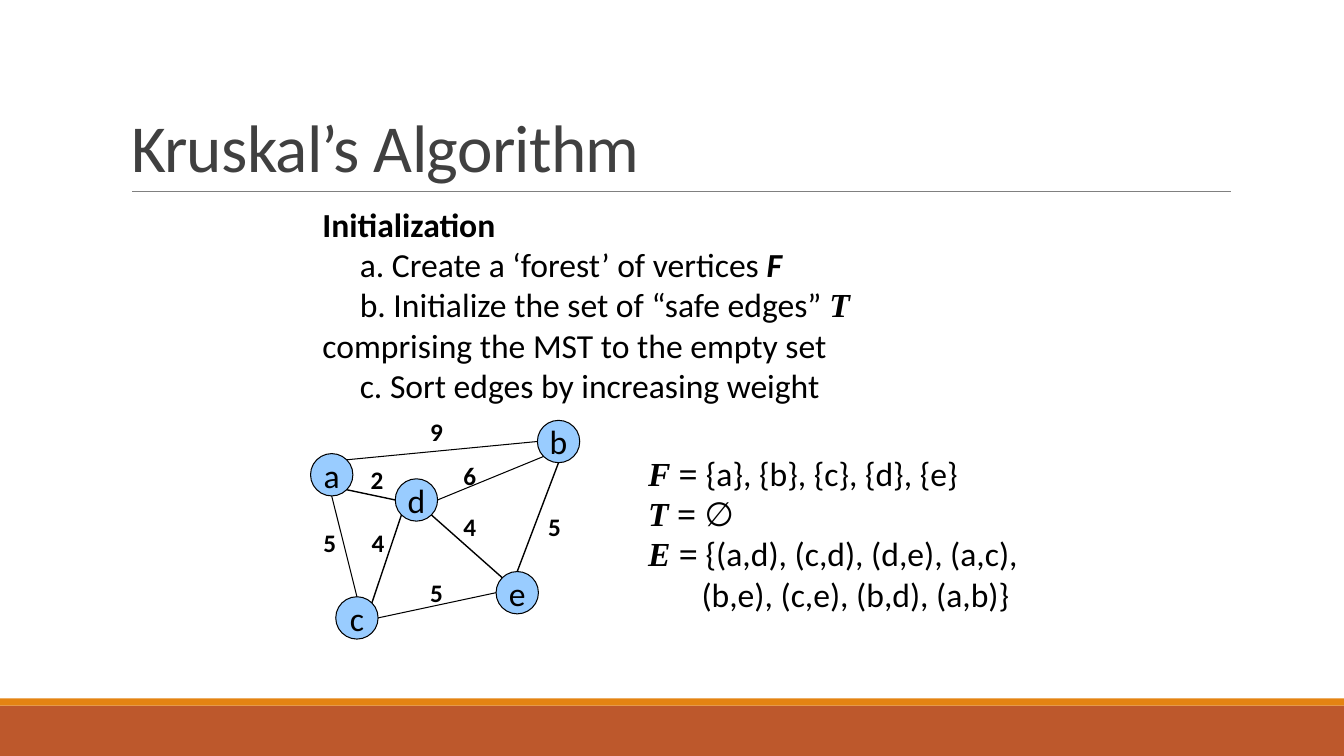
from math import cos, radians, sin

from lxml.etree import SubElement
from pptx import Presentation
from pptx.dml.color import RGBColor
from pptx.enum.shapes import MSO_CONNECTOR, MSO_SHAPE
from pptx.enum.text import MSO_ANCHOR, PP_ALIGN
from pptx.oxml.ns import qn
from pptx.util import Inches, Pt

COLORS = {"black": "000000", "title": "404040", "rule": "808080", "node": "99CCFF",
          "band": "BD582C", "stripe": "E48312"}
SANS, SERIF = "Calibri", "Times New Roman"
DIAMETER = 0.42

# Node centres, relative to the graph's corner
NODES = {"a": (0.21, 0.63), "c": (0.46, 2.05), "e": (2.05, 1.8),
         "d": (1.05, 0.88), "b": (2.46, 0.3)}
# Each edge: node and clockwise angle from its right side, twice; line width
EDGES = [("a", -45, "b", 180, 0.75), ("d", 0, "b", 135, 0.75), ("a", 90, "c", -90, 0.75),
         ("a", 45, "d", 180, 1), ("c", -45, "d", 135, 1), ("d", 45, "e", -135, 1),
         ("b", 90, "e", -90, 1), ("e", 180, "c", 0, 0.75)]
# Weight and its label's corner, relative to the graph's corner
WEIGHTS = [("2", 0.49, 0.48), ("4", 0.5, 1.1), ("5", 0.02, 1.1), ("9", 1.08, 0),
           ("6", 1.41, 0.44), ("4", 1.41, 0.94), ("5", 1.08, 1.6), ("5", 2.25, 0.94)]

# Runs are (text, font name, bold, italic)
STEPS = [
    [("Initialization", SANS, True, False)],
    [("a. Create a ‘forest’ of vertices ", SANS, False, False), ("F", SANS, True, True)],
    [("b. Initialize the set of “safe edges” ", SANS, False, False),
     ("T", SERIF, True, True),
     ("\vcomprising the MST to the empty set", SANS, False, False)],
    [("c. Sort edges by increasing weight", SANS, False, False)],
]
SETS = [
    [("F = ", SERIF, True, True), ("{a}, {b}, {c}, {d}, {e}", SANS, False, False)],
    [("T ", SERIF, True, True), ("= ", SERIF, True, False), ("∅", SANS, False, False)],
    [("E ", SERIF, True, True), ("=", SERIF, True, False),
     (" {(a,d), (c,d), (d,e), (a,c),", SANS, False, False)],
    [("(b,e), (c,e), (b,d), (a,b)}", SANS, False, False)],
]


def rgb(name):
    return RGBColor.from_string(COLORS[name])


def style_font(font, size, color="black", name=SANS, bold=False):
    font.size, font.name, font.bold = Pt(size), name, bold
    font.color.rgb = rgb(color)


def add_line(slide, start, end, color, width):
    line = slide.shapes.add_connector(MSO_CONNECTOR.STRAIGHT,
                                      *(Inches(value) for value in (*start, *end)))
    line.line.color.rgb = rgb(color)
    line.line.width = Pt(width)
    SubElement(line._element.spPr, qn("a:effectLst"))


def add_filled_shape(slide, kind, box, color):
    shape = slide.shapes.add_shape(kind, *(Inches(value) for value in box))
    shape.shadow.inherit = False
    shape.fill.solid()
    shape.fill.fore_color.rgb = rgb(color)
    shape.line.fill.background()
    return shape


def add_centered_text(frame, text, size, bold=False):
    frame.word_wrap = False
    paragraph = frame.paragraphs[0]
    paragraph.text = text
    paragraph.alignment = PP_ALIGN.CENTER
    style_font(paragraph.font, size, bold=bold)


def add_background(slide):
    add_filled_shape(slide, MSO_SHAPE.RECTANGLE, (0, 7, 13.33, 0.5), "band")
    add_filled_shape(slide, MSO_SHAPE.RECTANGLE, (0, 6.93, 13.33, 0.07), "stripe")
    add_line(slide, (1.31, 1.9), (12.21, 1.9), "rule", 0.5)


def add_title(slide, text, left, top, width, height):
    title = slide.shapes.title
    title.left, title.top = Inches(left), Inches(top)
    title.width, title.height = Inches(width), Inches(height)
    title.text_frame.vertical_anchor = MSO_ANCHOR.BOTTOM
    paragraph = title.text_frame.paragraphs[0]
    run = paragraph.add_run()
    run.text = text
    paragraph.alignment = PP_ALIGN.LEFT
    paragraph.line_spacing = 0.85
    style_font(paragraph.font, 48, "title")
    run._r.get_or_add_rPr().set("spc", "-50")


def add_rich_text(slide, paragraphs, indents, left, top, width, height, anchor):
    """Write paragraphs of styled runs, each with its own first-line indent."""
    frame = slide.shapes.add_textbox(Inches(left), Inches(top),
                                     Inches(width), Inches(height)).text_frame
    frame.word_wrap = True
    frame.vertical_anchor = anchor
    for index, (runs, indent) in enumerate(zip(paragraphs, indents)):
        paragraph = frame.add_paragraph() if index else frame.paragraphs[0]
        properties = paragraph._p.get_or_add_pPr()
        properties.set("marL", "0")
        properties.set("indent", str(Inches(indent)))
        for text, name, bold, italic in runs:
            if text.startswith("\v"):
                paragraph.add_line_break()
            run = paragraph.add_run()
            run.text = text.lstrip("\v")
            style_font(run.font, 24, name=name, bold=bold)
            run.font.italic = italic


def add_graph(slide, left, top):
    def rim_point(node, angle):
        x, y = NODES[node]
        return (left + x + DIAMETER / 2 * cos(radians(angle)),
                top + y + DIAMETER / 2 * sin(radians(angle)))

    for name, (x, y) in NODES.items():
        box = (left + x - DIAMETER / 2, top + y - DIAMETER / 2, DIAMETER, DIAMETER)
        node = add_filled_shape(slide, MSO_SHAPE.OVAL, box, "node")
        node.line.color.rgb = rgb("black")
        node.line.width = Pt(0.75)
        node.text_frame.vertical_anchor = MSO_ANCHOR.MIDDLE
        add_centered_text(node.text_frame, name, 24)
    for start, start_angle, end, end_angle, width in EDGES:
        add_line(slide, rim_point(start, start_angle), rim_point(end, end_angle),
                 "black", width)
    for weight, x, y in WEIGHTS:
        label = slide.shapes.add_textbox(Inches(left + x), Inches(top + y),
                                         Inches(0.34), Inches(0.4))
        add_centered_text(label.text_frame, weight, 18, bold=True)


def main():
    presentation = Presentation()
    presentation.slide_width, presentation.slide_height = Inches(13.33), Inches(7.5)
    slide = presentation.slides.add_slide(presentation.slide_layouts[5])
    add_background(slide)
    add_title(slide, "Kruskal’s Algorithm", 1.2, 0.31, 11, 1.59)
    add_rich_text(slide, STEPS, (0, 0.37, 0.37, 0.37), 3.1, 1.97, 7.17, 2.12, MSO_ANCHOR.TOP)
    add_graph(slide, 3.08, 4.08)
    add_rich_text(slide, SETS, (0, 0, 0, 0.53), 6.33, 4.43, 3.98, 1.72, MSO_ANCHOR.MIDDLE)
    presentation.save("out.pptx")


if __name__ == "__main__":
    main()
